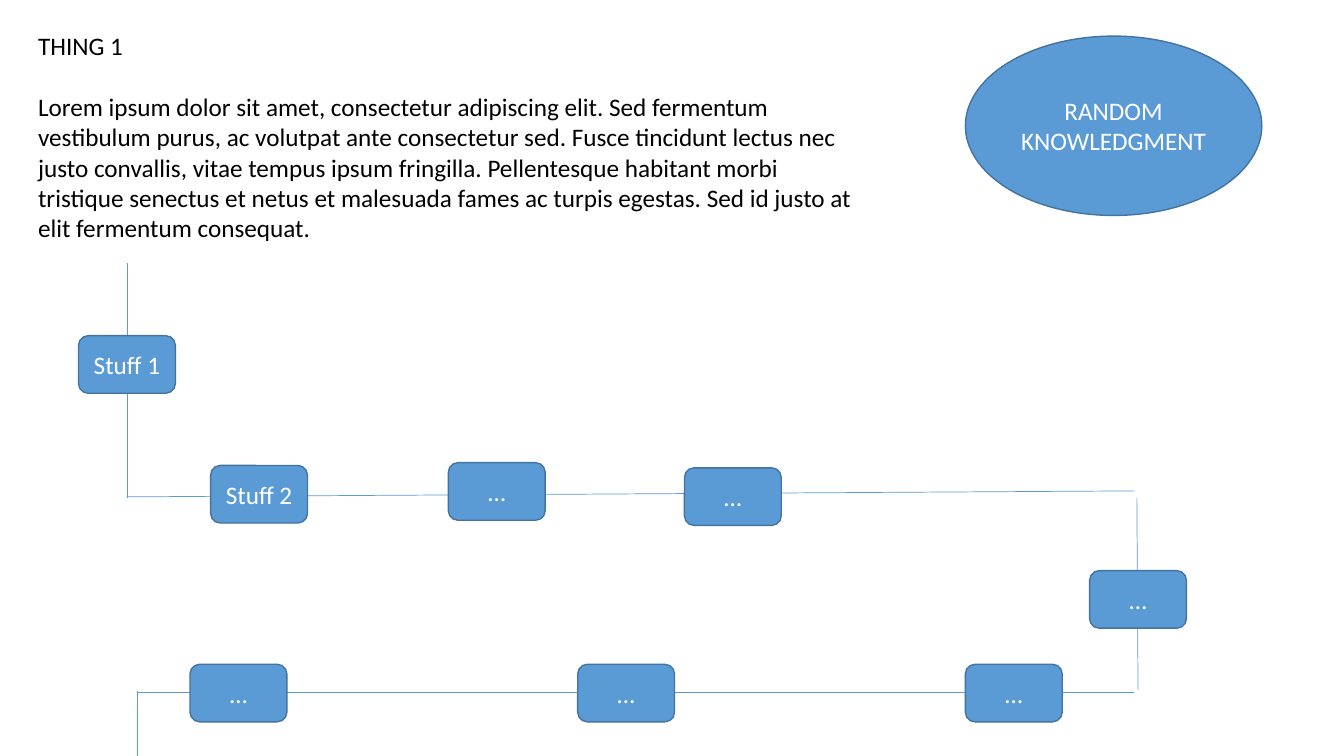
from pptx import Presentation
from pptx.dml.color import RGBColor
from pptx.enum.shapes import MSO_CONNECTOR as Link, MSO_SHAPE as Shape
from pptx.enum.text import MSO_ANCHOR as Anchor, MSO_AUTO_SIZE as Fit, PP_ALIGN as Align
from pptx.oxml.ns import qn
from pptx.util import Cm, Pt
from lxml import etree

LOREM = (
    "Lorem ipsum dolor sit amet, consectetur adipiscing elit. Sed fermentum "
    "vestibulum purus, ac volutpat ante consectetur sed. Fusce tincidunt lectus nec "
    "justo convallis, vitae tempus ipsum fringilla. Pellentesque habitant morbi "
    "tristique senectus et netus et malesuada fames ac turpis egestas. Sed id justo at "
    "elit fermentum consequat."
)
BOX = 2.44, 1.45
ROW, STEP = 16.74, 9.77
STOPS = [
    ("Stuff 1", 1.98, 8.46),
    ("Stuff 2", 5.31, 11.73),
    ("…", 11.3, 11.66),
    ("…", 17.25, 11.79),
    ("…", 27.46, 14.38),
] + [("…", 24.33 - i * STEP, ROW) for i in range(3)]
ROUTE = [
    (3.2, 6.63, 3.2, 12.55),
    (3.2, 12.52, 28.58, 12.37),
    (28.65, 12.55, 28.68, 17.37),
    (28.58, 17.45, 3.45, 17.45),
    (3.45, 17.42, 3.45, 19.05),
]


def color(code):
    return RGBColor.from_string(code)


class Board:
    font, size = "Calibri", Pt(18)
    blue, edge = "5B9BD5", "43739E"

    def __init__(self, slide):
        self.shapes = slide.shapes

    def style(self, para, code):
        para.font.name, para.font.size = self.font, self.size
        para.font.color.rgb = color(code)

    def note(self, parts, left, top, width, height):
        frame = self.shapes.add_textbox(Cm(left), Cm(top), Cm(width), Cm(height)).text_frame
        frame.word_wrap = True
        frame.auto_size = Fit.SHAPE_TO_FIT_TEXT
        for i, part in enumerate(parts):
            para = frame.add_paragraph() if i else frame.paragraphs[0]
            para.text = part
            para.space_before = Pt(22 if i else 0)
            self.style(para, "000000")

    def node(self, kind, text, left, top, width, height):
        node = self.shapes.add_shape(kind, Cm(left), Cm(top), Cm(width), Cm(height))
        node.shadow.inherit = False
        node.fill.solid()
        node.fill.fore_color.rgb = color(self.blue)
        node.line.color.rgb = color(self.edge)
        node.line.width = Pt(1)
        frame = node.text_frame
        frame.word_wrap = True
        frame.vertical_anchor = Anchor.MIDDLE
        para = frame.paragraphs[0]
        para.text, para.alignment = text, Align.CENTER
        self.style(para, "FFFFFF")

    def line(self, *ends):
        line = self.shapes.add_connector(Link.STRAIGHT, *map(Cm, ends))
        line.line.color.rgb = color(self.blue)
        line.line.width = Pt(0.5)
        etree.SubElement(line._element.spPr, qn("a:effectLst"))


def main():
    deck = Presentation()
    deck.slide_width, deck.slide_height = Cm(33.87), Cm(19.05)
    board = Board(deck.slides.add_slide(deck.slide_layouts[6]))

    board.note(["THING 1", LOREM], 0.71, 0.64, 21.21, 5.64)
    board.node(Shape.OVAL, "RANDOM KNOWLEDGMENT", 24.33, 0.91, 7.47, 4.52)
    for ends in ROUTE:
        board.line(*ends)
    for text, left, top in STOPS:
        board.node(Shape.ROUNDED_RECTANGLE, text, left, top, *BOX)

    deck.save("out.pptx")


if __name__ == "__main__":
    main()
